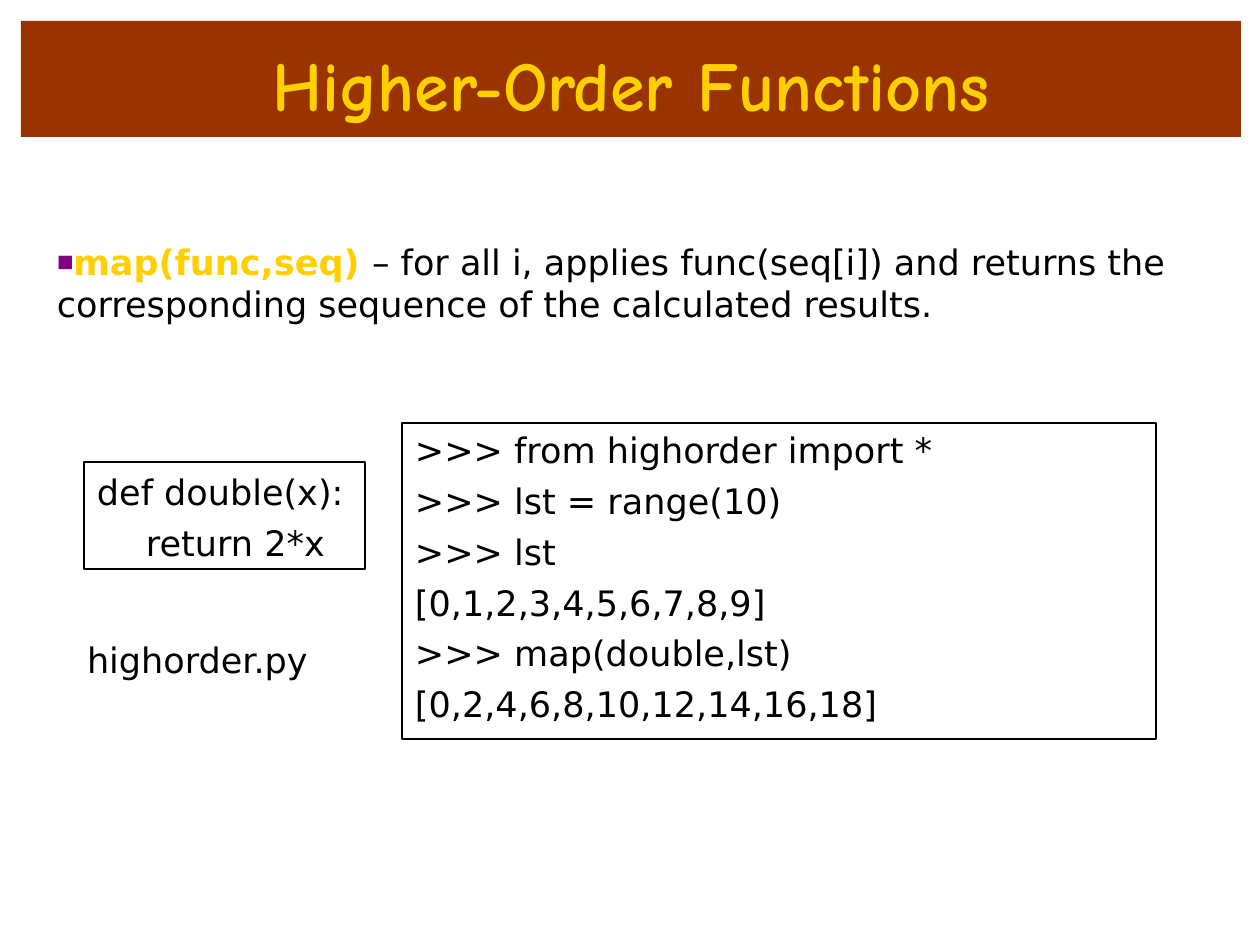
import dataclasses
import typing

import lxml.etree
import pptx
import pptx.dml.color
import pptx.enum.shapes
import pptx.enum.text
import pptx.oxml.ns
import pptx.util

SCALE = 914400 / 126
GOLD = "FFCF00"
BLACK = "000000"
SANS = "DejaVu Sans"


class Run(typing.NamedTuple):
    text: str
    color: str = BLACK
    bold: bool = False


@dataclasses.dataclass
class Box:
    left: int
    top: int
    width: int
    height: int
    inset: int = 0
    fill: str | None = None
    line: str | None = None


def px(num: int) -> pptx.util.Emu:
    return pptx.util.Emu(round(num * SCALE))


def paint(text: str) -> pptx.dml.color.RGBColor:
    return pptx.dml.color.RGBColor.from_string(text)


def draw(slide, box: Box):
    place = [px(n) for n in (box.left, box.top, box.width, box.height)]
    if box.fill or box.line:
        shape = slide.shapes.add_shape(
            pptx.enum.shapes.MSO_SHAPE.RECTANGLE, *place)
        shape.shadow.inherit = False
    else:
        shape = slide.shapes.add_textbox(*place)
    if box.fill:
        shape.fill.solid()
        shape.fill.fore_color.rgb = paint(box.fill)
    else:
        shape.fill.background()
    if box.line:
        shape.line.color.rgb = paint(box.line)
        shape.line.width = pptx.util.Pt(0.75)
    else:
        shape.line.fill.background()
    frame = shape.text_frame
    frame.word_wrap = True
    frame.vertical_anchor = pptx.enum.text.MSO_ANCHOR.TOP
    frame.margin_left = frame.margin_right = frame.margin_bottom = 0
    frame.margin_top = px(box.inset)
    return frame


def mark(props, char: str, color: str, size: int) -> None:
    def add(root, tag: str, **attrs: str):
        return lxml.etree.SubElement(root, pptx.oxml.ns.qn(tag), attrs)

    add(add(props, "a:buClr"), "a:srgbClr", val=color)
    add(props, "a:buSzPct", val=str(size * 1000))
    add(props, "a:buFont", typeface=SANS)
    add(props, "a:buChar", char=char)


def write(frame, *runs: Run, first: bool = False, size: int = 20,
          font: str = SANS, left: int = 0, hang: int = 0, gap: float = 0,
          pitch: float | None = None, bullet: str | None = None,
          center: bool = False) -> None:
    para = frame.paragraphs[0] if first else frame.add_paragraph()
    align = pptx.enum.text.PP_ALIGN
    para.alignment = align.CENTER if center else align.LEFT
    props = para._p.get_or_add_pPr()
    props.set("marL", str(px(left)))
    props.set("indent", str(px(-hang)))
    if pitch:
        para.line_spacing = pptx.util.Pt(pitch)
    if gap and not first:
        para.space_before = pptx.util.Pt(gap)
    if bullet:
        mark(props, bullet, "800080", 50)
    for item in runs:
        run = para.add_run()
        run.text = item.text
        run.font.name = font
        run.font.size = pptx.util.Pt(size)
        run.font.bold = item.bold
        run.font.color.rgb = paint(item.color)


def main() -> None:
    deck = pptx.Presentation()
    deck.slide_width = px(1260)
    deck.slide_height = px(945)
    slide = deck.slides.add_slide(deck.slide_layouts[6])

    title = draw(slide, Box(21, 21, 1220, 116, inset=21, fill="993300"))
    write(title, Run("Higher-Order Functions", GOLD, True), first=True,
          size=40, font="Comic Neue", center=True)

    body = draw(slide, Box(56, 238, 1130, 88, inset=3))
    write(body, Run("map(func,seq) ", GOLD, True),
          Run("– for all i, applies func(seq[i]) and returns the"),
          first=True, left=16, hang=15, bullet="■")
    write(body, Run("corresponding sequence of the calculated results."), left=1)

    code = draw(slide, Box(84, 462, 281, 107, line=BLACK))
    write(code, Run("def double(x):"), first=True, left=13, pitch=29)
    write(code, Run("return 2*x"), left=62, pitch=29)

    shell = draw(slide, Box(402, 423, 754, 316, inset=6, line=BLACK))
    lines = (
        ">>> from highorder import *",
        ">>> lst = range(10)",
        ">>> lst",
        "[0,1,2,3,4,5,6,7,8,9]",
        ">>> map(double,lst)",
        "[0,2,4,6,8,10,12,14,16,18]",
    )
    for rank, text in enumerate(lines):
        write(shell, Run(text), first=rank == 0, left=13, gap=5)

    label = draw(slide, Box(86, 635, 223, 45, inset=3))
    write(label, Run("highorder.py"), first=True, left=1)

    deck.save("out.pptx")


if __name__ == "__main__":
    main()
